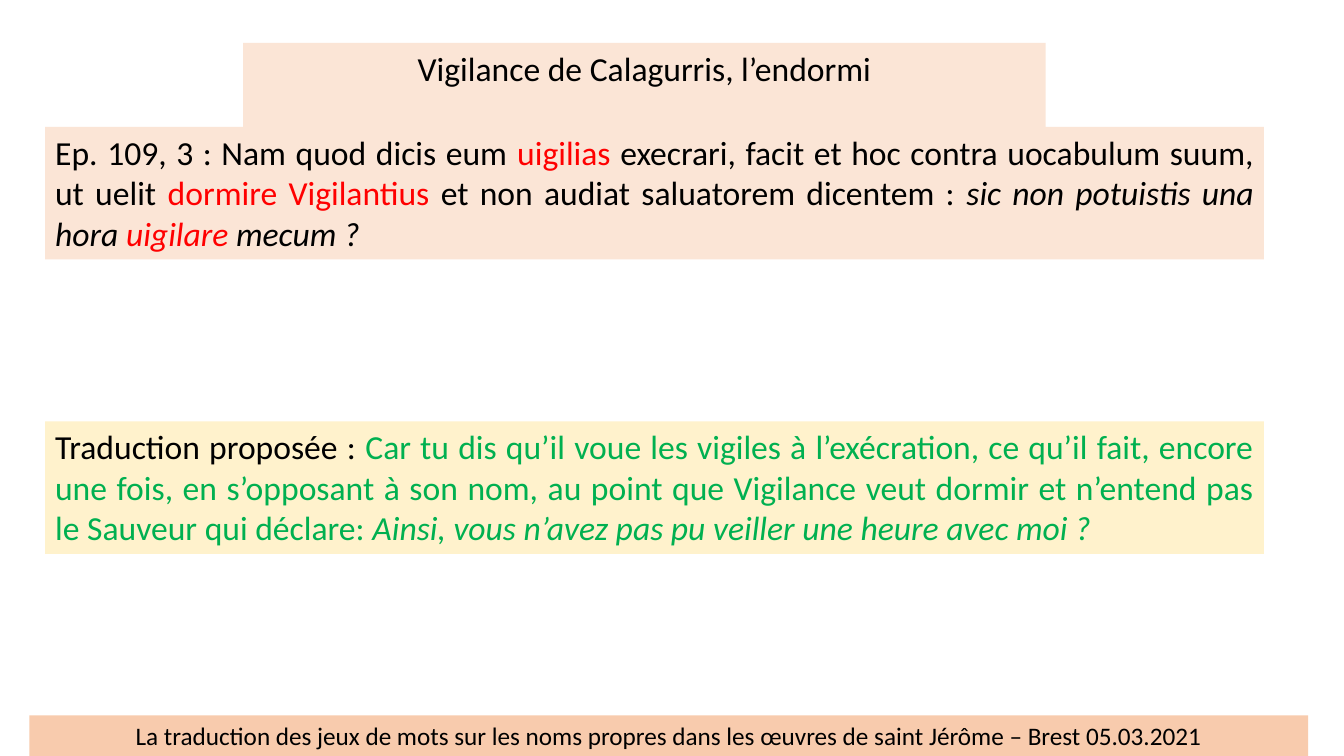
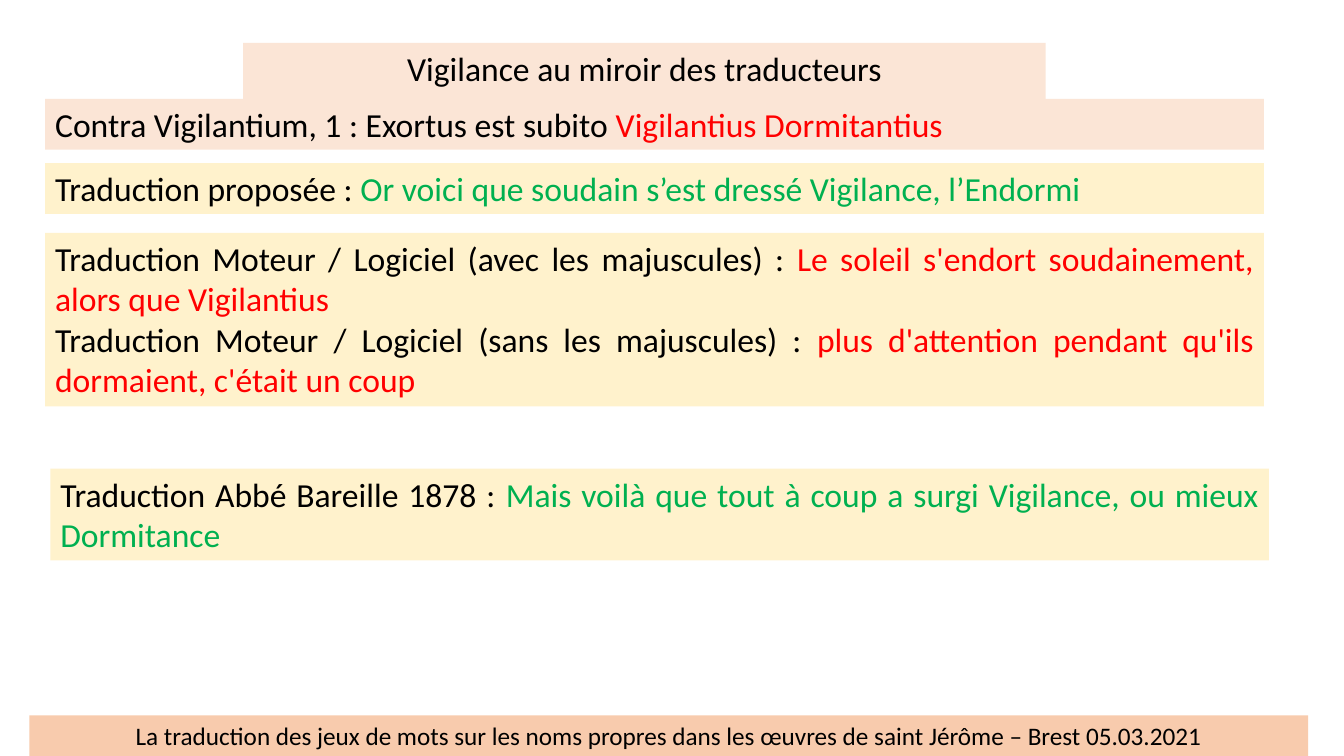
from pptx import Presentation
from pptx.dml.color import RGBColor
from pptx.enum.text import MSO_ANCHOR, MSO_AUTO_SIZE, PP_ALIGN
from pptx.util import Cm, Pt

BLACK = RGBColor(0x00, 0x00, 0x00)
RED = RGBColor(0xFF, 0x00, 0x00)
GREEN = RGBColor(0x00, 0xB0, 0x50)
PEACH = RGBColor(0xFB, 0xE5, 0xD6)
ORANGE = RGBColor(0xF8, 0xCB, 0xAD)
CREAM = RGBColor(0xFF, 0xF2, 0xCC)

FONT = "Calibri"
TEXT_SIZE = 24
FOOTER_SIZE = 18
TITLE_ONLY = 5
BOX_LEFT = 1.14
BOX_WIDTH = 30.71
LINE_HEIGHT = 1.03
PADDING = 0.25
FOOTER = ("La traduction des jeux de mots sur les noms propres dans les œuvres "
          "de saint Jérôme – Brest 05.03.2021")


def place(shape, left, top, width, height):
    shape.left, shape.top = Cm(left), Cm(top)
    shape.width, shape.height = Cm(width), Cm(height)


def fill_band(shape, color, paragraphs, size=TEXT_SIZE, alignment=PP_ALIGN.CENTER):
    """Colour a shape and write paragraphs, each a list of (text, colour, italic) runs."""
    shape.fill.solid()
    shape.fill.fore_color.rgb = color
    frame = shape.text_frame
    frame.word_wrap = True
    frame.auto_size = MSO_AUTO_SIZE.SHAPE_TO_FIT_TEXT
    frame.vertical_anchor = MSO_ANCHOR.TOP
    for index, runs in enumerate(paragraphs):
        paragraph = frame.add_paragraph() if index else frame.paragraphs[0]
        paragraph.alignment = alignment
        for text, text_color, italic in runs:
            run = paragraph.add_run()
            run.text = text
            run.font.name = FONT
            run.font.size = Pt(size)
            run.font.color.rgb = text_color
            run.font.italic = italic


def add_titled_slide(presentation, title):
    slide = presentation.slides.add_slide(presentation.slide_layouts[TITLE_ONLY])
    place(slide.shapes.title, 6.13, 1.08, 20.22, LINE_HEIGHT + PADDING)
    fill_band(slide.shapes.title, PEACH, [[(title, BLACK, False)]])
    footer = slide.shapes.add_textbox(Cm(0.74), Cm(18.03), Cm(32.23), Cm(1.02))
    fill_band(footer, ORANGE, [[(FOOTER, BLACK, False)]], size=FOOTER_SIZE)
    return slide


def add_passage(slide, top, lines, color, *paragraphs, left=BOX_LEFT):
    """Add a justified text band tall enough for the given number of lines."""
    box = slide.shapes.add_textbox(Cm(left), Cm(top), Cm(BOX_WIDTH),
                                   Cm(lines * LINE_HEIGHT + PADDING))
    fill_band(box, color, paragraphs, alignment=PP_ALIGN.JUSTIFY)


def build_sleeper_slide(presentation):
    slide = add_titled_slide(presentation, "Vigilance de Calagurris, l’endormi")
    add_passage(slide, 3.2, 3, PEACH, [
        ("Ep. 109, 3 : Nam quod dicis eum ", BLACK, False),
        ("uigilias ", RED, False),
        ("execrari, facit et hoc contra uocabulum suum, ut uelit ", BLACK, False),
        ("dormire Vigilantius ", RED, False),
        ("et non audiat saluatorem dicentem : ", BLACK, False),
        ("sic non potuistis una hora ", BLACK, True),
        ("uigilare ", RED, True),
        ("mecum ?", BLACK, True),
    ])
    add_passage(slide, 10.62, 3, CREAM, [
        ("Traduction proposée : ", BLACK, False),
        ("Car tu dis qu’il voue les vigiles à l’exécration, ce qu’il fait, encore "
         "une fois, en s’opposant à son nom, au point que Vigilance veut dormir "
         "et n’entend pas le Sauveur qui déclare: ", GREEN, False),
        ("Ainsi, vous n’avez pas pu veiller une heure avec moi ?", GREEN, True),
    ])


def build_translators_slide(presentation):
    slide = add_titled_slide(presentation, "Vigilance au miroir des traducteurs")
    add_passage(slide, 2.49, 1, PEACH, [
        ("Contra Vigilantium, 1 : Exortus est subito ", BLACK, False),
        ("Vigilantius Dormitantius", RED, False),
    ])
    add_passage(slide, 4.11, 1, CREAM, [
        ("Traduction proposée : ", BLACK, False),
        ("Or voici que soudain s’est dressé Vigilance, l’Endormi", GREEN, False),
    ])
    add_passage(slide, 5.87, 4, CREAM, [
        ("Traduction Moteur / Logiciel (avec les majuscules) : ", BLACK, False),
        ("Le soleil s'endort soudainement, alors que Vigilantius", RED, False),
    ], [
        ("Traduction Moteur / Logiciel (sans les majuscules) : ", BLACK, False),
        ("plus d'attention pendant qu'ils dormaient, c'était un coup", RED, False),
    ])
    add_passage(slide, 11.81, 2, CREAM, [
        ("Traduction Abbé Bareille 1878 : ", BLACK, False),
        ("Mais voilà que tout à coup a surgi Vigilance, ou mieux Dormitance",
         GREEN, False),
    ], left=1.27)


def main():
    presentation = Presentation()
    presentation.slide_width = Cm(33.87)
    presentation.slide_height = Cm(19.05)
    build_sleeper_slide(presentation)
    build_translators_slide(presentation)
    presentation.save("out.pptx")


if __name__ == "__main__":
    main()
